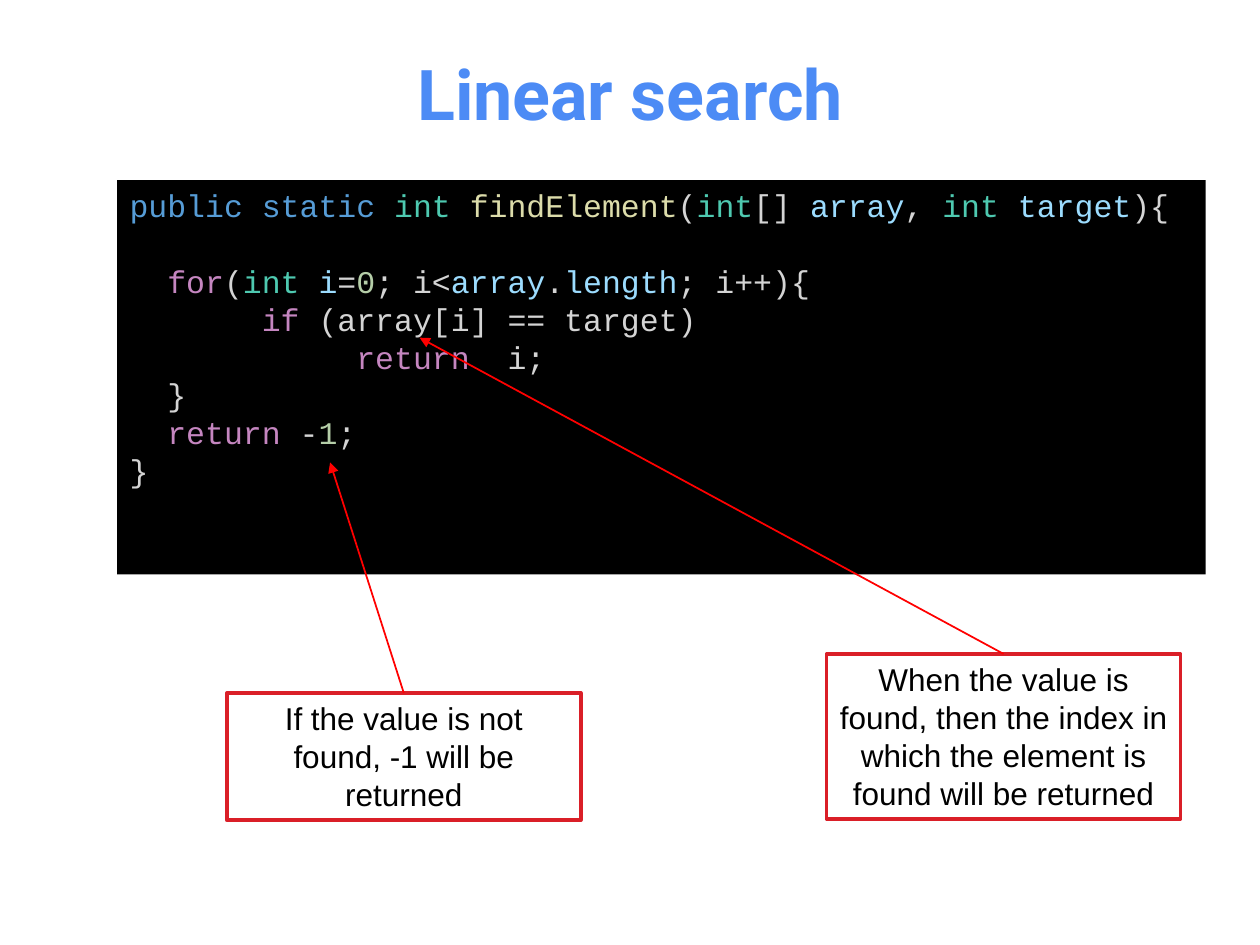
from lxml import etree
from pptx import Presentation
from pptx.dml.color import RGBColor
from pptx.enum.shapes import MSO_CONNECTOR, MSO_SHAPE
from pptx.enum.text import MSO_ANCHOR, PP_ALIGN
from pptx.oxml.ns import qn
from pptx.util import Inches, Pt

RECTANGLE = MSO_SHAPE.RECTANGLE
STRAIGHT = MSO_CONNECTOR.STRAIGHT
TOP, MIDDLE = MSO_ANCHOR.TOP, MSO_ANCHOR.MIDDLE
LEFT, CENTER = PP_ALIGN.LEFT, PP_ALIGN.CENTER

BLACK = RGBColor(0x00, 0x00, 0x00)
WHITE = RGBColor(0xFF, 0xFF, 0xFF)
TITLE_BLUE = RGBColor(0x4C, 0x8B, 0xF5)
BORDER_RED = RGBColor(0xDA, 0x1F, 0x28)
ARROW_RED = RGBColor(0xFF, 0x00, 0x00)

# Syntax colours
MODIFIER = RGBColor(0x56, 0x9C, 0xD6)
TYPE = RGBColor(0x4E, 0xC9, 0xB0)
FUNCTION = RGBColor(0xDC, 0xDC, 0xAA)
PLAIN = RGBColor(0xD4, 0xD4, 0xD4)
VARIABLE = RGBColor(0x9C, 0xDC, 0xFE)
CONTROL = RGBColor(0xC5, 0x86, 0xC0)
NUMBER = RGBColor(0xB5, 0xCE, 0xA8)

TEXT_SIZE = Pt(18)
LINE_PITCH = Pt(21.6)
CHARACTER_WIDTH = Inches(0.15)

# Each line: indent in characters, blank lines above, coloured tokens
CODE_LINES = [
    (0, 0, [("public static ", MODIFIER), ("int ", TYPE), ("findElement", FUNCTION),
            ("(", PLAIN), ("int", TYPE), ("[] ", PLAIN), ("array", VARIABLE),
            (", ", PLAIN), ("int ", TYPE), ("target", VARIABLE), ("){", PLAIN)]),
    (2, 1, [("for", CONTROL), ("(", PLAIN), ("int ", TYPE), ("i", VARIABLE),
            ("=", PLAIN), ("0", NUMBER), ("; i<", PLAIN), ("array", VARIABLE),
            (".", PLAIN), ("length", VARIABLE), ("; i++){", PLAIN)]),
    (7, 0, [("if", CONTROL), (" (array[i] == target)", PLAIN)]),
    (12, 0, [("return  ", CONTROL), ("i;", PLAIN)]),
    (2, 0, [("}", PLAIN)]),
    (2, 0, [("return", CONTROL), (" -", PLAIN), ("1", NUMBER), (";", PLAIN)]),
    (0, 0, [("}", PLAIN)]),
]

# Each callout: text, box, arrow tip
CALLOUTS = [
    ("When the value is found, then the index in which the element is found will be returned",
     (6.56, 5.19, 2.81, 1.31), (3.33, 2.68)),
    ("If the value is not found, -1 will be returned",
     (1.8, 5.5, 2.81, 1.01), (2.62, 3.67)),
]


def add_title(slide, text, box):
    title = slide.shapes.title
    title.left, title.top, title.width, title.height = map(Inches, box)
    title.text_frame.vertical_anchor = MIDDLE
    paragraph = title.text_frame.paragraphs[0]
    paragraph.text = text
    paragraph.alignment = CENTER
    paragraph.font.name = "Roboto"
    paragraph.font.size = Pt(40)
    paragraph.font.bold = True
    paragraph.font.color.rgb = TITLE_BLUE


def add_panel(slide, box, fill):
    panel = slide.shapes.add_shape(RECTANGLE, *map(Inches, box))
    panel.shadow.inherit = False
    panel.fill.solid()
    panel.fill.fore_color.rgb = fill
    panel.line.fill.background()
    panel.text_frame.word_wrap = True
    panel.text_frame.vertical_anchor = TOP
    return panel


def format_paragraph(paragraph, font_name, alignment):
    paragraph.alignment = alignment
    paragraph.line_spacing = LINE_PITCH
    paragraph.font.name = font_name
    paragraph.font.size = TEXT_SIZE


def add_code(slide, lines, box):
    frame = add_panel(slide, box, BLACK).text_frame
    for number, (indent, blank_lines, tokens) in enumerate(lines):
        paragraph = frame.add_paragraph() if number else frame.paragraphs[0]
        format_paragraph(paragraph, "Courier New", LEFT)
        paragraph.space_before = blank_lines * LINE_PITCH
        paragraph._p.get_or_add_pPr().set("marL", str(indent * CHARACTER_WIDTH))
        for text, color in tokens:
            run = paragraph.add_run()
            run.text = text
            run.font.color.rgb = color


def add_arrow(slide, start, tip):
    arrow = slide.shapes.add_connector(STRAIGHT, *map(Inches, start + tip))
    arrow.line.color.rgb = ARROW_RED
    arrow.line.width = Pt(1)
    etree.SubElement(arrow.line._get_or_add_ln(), qn("a:tailEnd"), type="triangle")
    etree.SubElement(arrow._element.spPr, qn("a:effectLst"))


def add_callout(slide, text, box, tip):
    panel = add_panel(slide, box, WHITE)
    panel.line.color.rgb = BORDER_RED
    panel.line.width = Pt(2)
    paragraph = panel.text_frame.paragraphs[0]
    paragraph.text = text
    format_paragraph(paragraph, "Arial", CENTER)
    paragraph.font.color.rgb = BLACK

    # Arrow from the middle of the top edge
    left, top, width, _ = box
    add_arrow(slide, (left + width / 2, top), tip)


def main():
    presentation = Presentation()
    presentation.slide_width = Inches(10)
    presentation.slide_height = Inches(7.5)
    slide = presentation.slides.add_slide(presentation.slide_layouts[5])

    add_title(slide, "Linear search", (0.5, 0.3, 9, 0.87))
    add_code(slide, CODE_LINES, (0.93, 1.43, 8.64, 3.13))
    for text, box, tip in CALLOUTS:
        add_callout(slide, text, box, tip)

    presentation.save("out.pptx")


if __name__ == "__main__":
    main()
